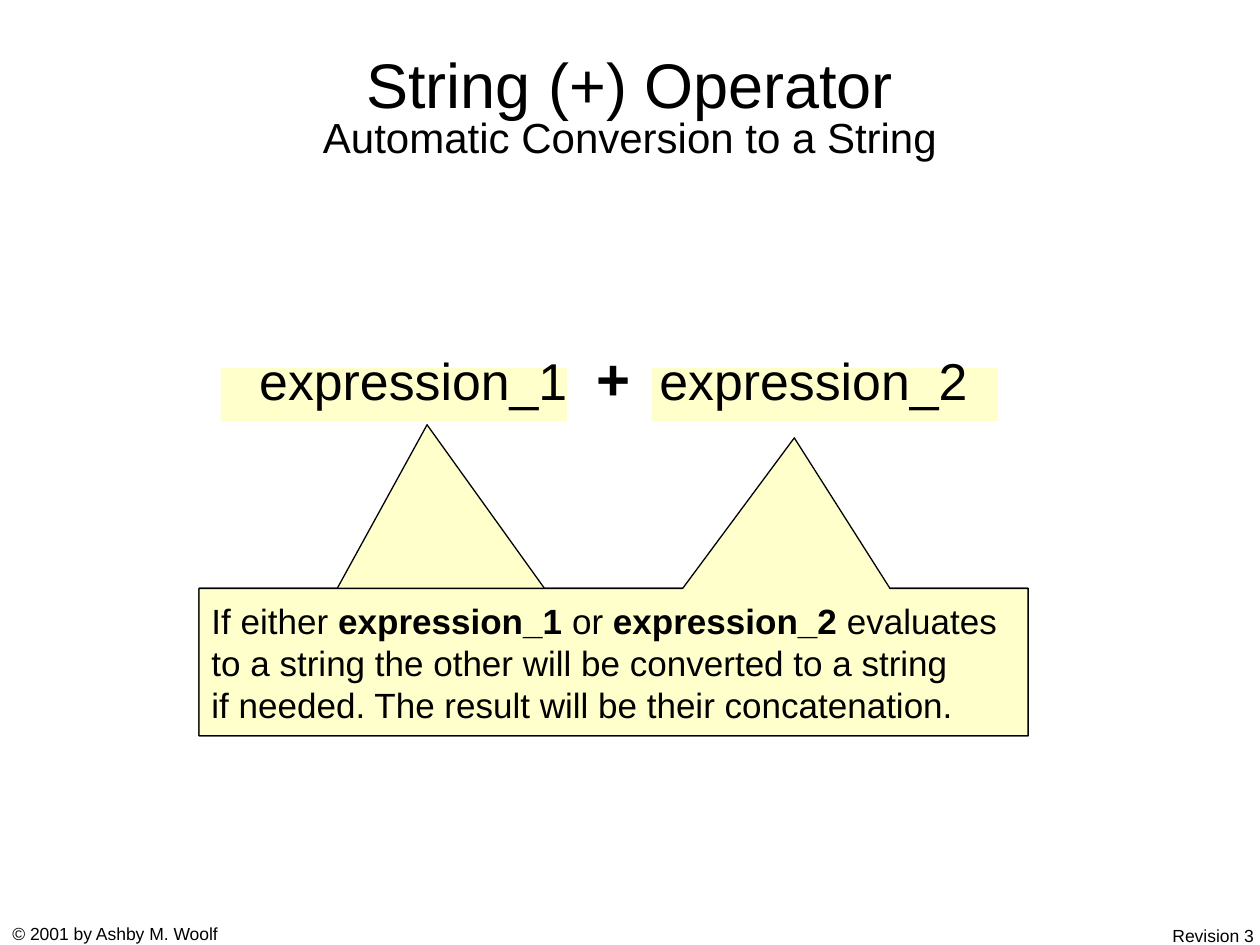
import pptx
import pptx.util
import pptx.dml.color
import pptx.enum.shapes
import pptx.enum.text

Inches, Pt = pptx.util.Inches, pptx.util.Pt
RGB = pptx.dml.color.RGBColor
Shape = pptx.enum.shapes.MSO_SHAPE
Align = pptx.enum.text.PP_ALIGN
Anchor = pptx.enum.text.MSO_ANCHOR
COLORS = {"ink": "000000", "cream": "FFFFCC"}


def style(font, size):
    font.name = "Arial"
    font.size = Pt(size)
    font.color.rgb = RGB.from_string(COLORS["ink"])


def add_cream(kind, left, top, width, height):
    """Add a cream shape without outline or shadow."""
    shape = slide.shapes.add_shape(
        kind, Inches(left), Inches(top), Inches(width), Inches(height))
    shape.shadow.inherit = False
    shape.fill.solid()
    shape.fill.fore_color.rgb = RGB.from_string(COLORS["cream"])
    shape.line.fill.background()
    return shape


deck = pptx.Presentation()
deck.slide_width, deck.slide_height = Inches(10), Inches(7.5)
slide = deck.slides.add_slide(deck.slide_layouts[5])

# Footer
for text, left, top, width, align in (
        ("© 2001 by Ashby M. Woolf", 0, 7.28, 1.84, Align.LEFT),
        ("Revision 3", 9.15, 7.29, 0.9, Align.RIGHT)):
    box = slide.shapes.add_textbox(
        Inches(left), Inches(top), Inches(width), Inches(0.27))
    box.text_frame.word_wrap = False
    para = box.text_frame.paragraphs[0]
    para.text = text
    para.alignment = align
    style(para.font, 10)

# Title
title = slide.shapes.title
title.left, title.top = Inches(0.75), Inches(0.42)
title.width, title.height = Inches(8.5), Inches(0.92)
frame = title.text_frame
frame.auto_size = pptx.enum.text.MSO_AUTO_SIZE.NONE
frame.vertical_anchor = Anchor.MIDDLE
para = frame.paragraphs[0]
para.text = "String (+) Operator\vAutomatic Conversion to a String"
para.alignment = Align.CENTER
para.line_spacing = 0.8
for run, size in zip(para.runs, (36, 24)):
    style(run.font, size)

# Bands behind the two operands
for left in (5.17, 1.75):
    add_cream(Shape.RECTANGLE, left, 2.92, 2.75, 0.42)

# Two callouts share one box, each pointing at an operand
for tip in ((-0.225, -1.61), (0.218, -1.521)):
    note = add_cream(Shape.RECTANGULAR_CALLOUT, 1.58, 4.67, 6.58, 1.17)
    note.adjustments[0], note.adjustments[1] = tip
    note.line.color.rgb = RGB.from_string(COLORS["ink"])
    note.line.width = Pt(0.75)

# The top callout holds the text; odd pieces are bold
lines = (
    ("If either ", "expression_1", " or ", "expression_2 ", "evaluates"),
    ("to a string the other will be converted to a string",),
    ("if needed. The result will be their concatenation.",),
)
frame = note.text_frame
frame.word_wrap = True
frame.vertical_anchor = Anchor.MIDDLE
for row, line in enumerate(lines):
    para = frame.add_paragraph() if row else frame.paragraphs[0]
    para.alignment = Align.LEFT
    style(para.font, 20)
    for i, piece in enumerate(line):
        run = para.add_run()
        run.text = piece
        style(run.font, 20)
        run.font.bold = i % 2 == 1

# Expression
box = slide.shapes.add_textbox(
    Inches(0.58), Inches(2.67), Inches(8.58), Inches(0.67))
box.text_frame.word_wrap = True
para = box.text_frame.paragraphs[0]
para.alignment = Align.CENTER
for text, size in (("expression_1", 29.6), (" ", 29.6), ("+", 33.3),
                   (" ", 29.6), ("expression_2", 29.6)):
    run = para.add_run()
    run.text = text
    style(run.font, size)
    run.font.bold = text == "+"
    if text == " ":
        # Character spacing doubles the width of the gap
        run._r.get_or_add_rPr().set("spc", "820")

deck.save("out.pptx")
